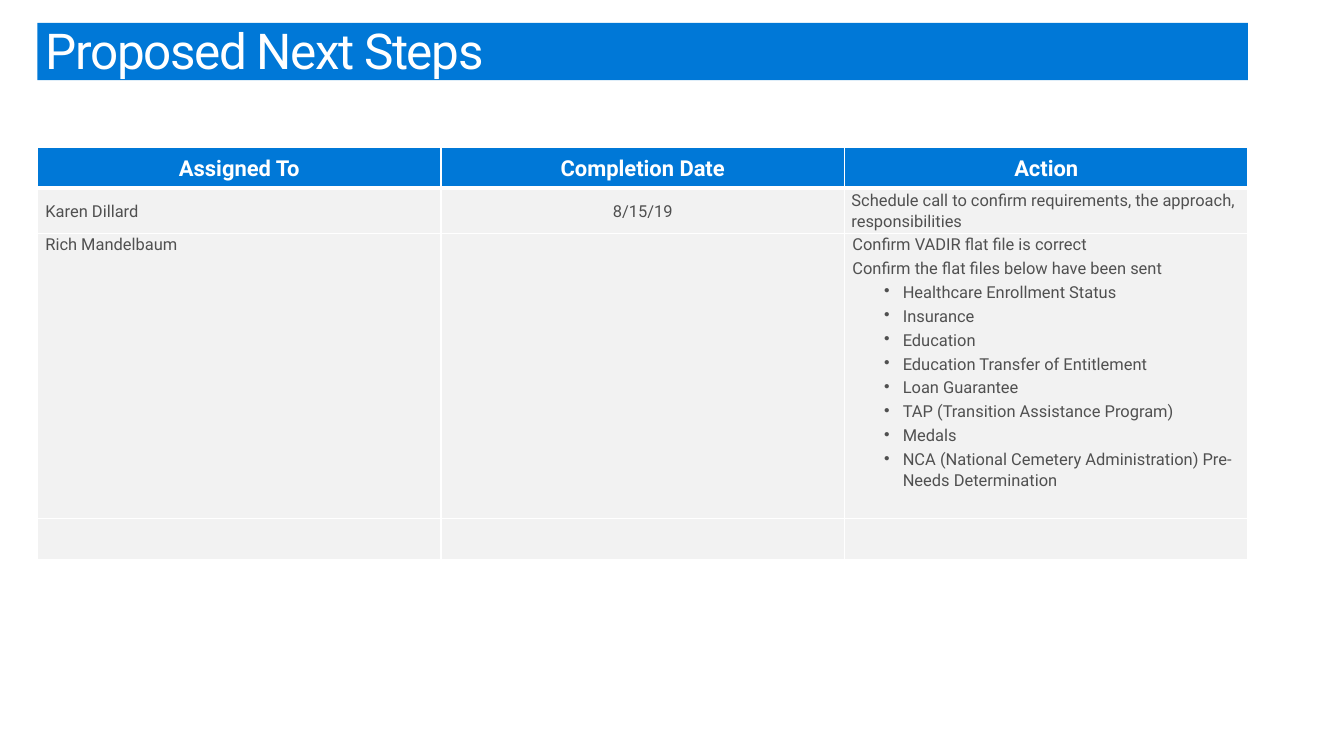
from dataclasses import dataclass

from lxml import etree
from pptx import Presentation
from pptx.dml.color import RGBColor
from pptx.enum.shapes import MSO_SHAPE
from pptx.enum.text import MSO_ANCHOR, MSO_AUTO_SIZE, PP_ALIGN
from pptx.oxml.ns import qn
from pptx.util import Inches, Pt

RECT = MSO_SHAPE.RECTANGLE
TOP, MIDDLE = MSO_ANCHOR.TOP, MSO_ANCHOR.MIDDLE
LEFT, CENTER = PP_ALIGN.LEFT, PP_ALIGN.CENTER
NO_FIT = MSO_AUTO_SIZE.NONE

WIDTH, HEIGHT = 13.6, 7.65
TITLE_ONLY = 5


@dataclass(frozen=True)
class Theme:
    font: str = "Roboto"
    blue: str = "0078D7"
    pale: str = "F2F2F2"
    white: str = "FFFFFF"
    gray: str = "505050"
    title: int = 36
    head: int = 16
    body: int = 12


THEME = Theme()

# Places as percent of the slide's width and height
EDGE, SPAN = 2.79, 90.07
ROWS = [5.36, 6.01, 37.78, 5.36]

HEADS = ["Assigned To", "Completion Date", "Action"]
CALL = "Schedule call to confirm requirements, the approach, responsibilities"
CHECKS = [
    "Confirm VADIR flat file is correct",
    "Confirm the flat files below have been sent",
]
FILES = [
    "Healthcare Enrollment Status",
    "Insurance",
    "Education",
    "Education Transfer of Entitlement",
    "Loan Guarantee",
    "TAP (Transition Assistance Program)",
    "Medals",
    "NCA (National Cemetery Administration) Pre-Needs Determination",
]


def across(share):
    return Inches(WIDTH * share / 100)


def down(share):
    return Inches(HEIGHT * share / 100)


def place(x, y, w, h):
    return across(x), down(y), across(w), down(h)


def add_dot(para):
    """Give a paragraph a hanging round bullet."""
    props = para._p.get_or_add_pPr()
    props.set("marL", str(Inches(0.51)))
    props.set("indent", str(Inches(-0.19)))
    etree.SubElement(props, qn("a:buChar")).set("char", "•")


def write(frame, text, size=THEME.body, color=THEME.gray, bold=False,
          align=LEFT, line=1.1, gap=1, dot=False, track=None):
    """Fill the first paragraph of a frame, or add one after it."""
    first = not frame.paragraphs[0].runs
    para = frame.paragraphs[0] if first else frame.add_paragraph()
    para.alignment, para.line_spacing = align, line
    para.space_before = Pt(0 if first else gap)
    para.space_after = Pt(gap)
    if dot:
        para.level = 1
        add_dot(para)
    run = para.add_run()
    run.text = text
    font = run.font
    font.name, font.size, font.bold = THEME.font, Pt(size), bold
    font.color.rgb = RGBColor.from_string(color)
    if track is not None:
        run._r.get_or_add_rPr().set("spc", str(track * 100))


def paint(fill, color):
    fill.solid()
    fill.fore_color.rgb = RGBColor.from_string(color)


def add_rules(cell, base):
    """Draw white rules round a cell, with its own base width."""
    props = cell._tc.get_or_add_tcPr()
    for spot, side in enumerate("LRTB"):
        rule = etree.Element(qn(f"a:ln{side}"))
        rule.set("w", str(Pt(base if side == "B" else 1)))
        fill = etree.SubElement(rule, qn("a:solidFill"))
        etree.SubElement(fill, qn("a:srgbClr")).set("val", THEME.white)
        props.insert(spot, rule)


def add_title(slide, text):
    # Blue band behind the title
    band = slide.shapes.add_shape(RECT, *place(EDGE, 3.01, SPAN, 7.58))
    band.shadow.inherit = False
    paint(band.fill, THEME.blue)
    band.line.fill.background()

    title = slide.shapes.title
    title.left, title.top, title.width, title.height = place(
        2.21, 2.22, 95.59, 13.07)
    band._element.addnext(title._element)
    frame = title.text_frame
    frame.auto_size, frame.word_wrap = NO_FIT, True
    frame.vertical_anchor = TOP
    frame.margin_left = frame.margin_right = Inches(0.16)
    frame.margin_top = frame.margin_bottom = Inches(0.1)
    write(frame, text, size=THEME.title, color=THEME.white,
          line=0.9, gap=0, track=-1)


def add_grid(slide):
    count = len(HEADS)
    frame = slide.shapes.add_table(
        len(ROWS), count, *place(EDGE, 19.48, SPAN, sum(ROWS)))
    table = frame.table
    table.horz_banding = False
    for col in table.columns:
        col.width = across(SPAN / count)
    for row, share in zip(table.rows, ROWS):
        row.height = down(share)
    for r, row in enumerate(table.rows):
        for c, cell in enumerate(row.cells):
            paint(cell.fill, THEME.pale if r else THEME.blue)
            add_rules(cell, 1 if r else 3)
            cell.vertical_anchor = MIDDLE if r < 2 else TOP
            side = 0.07 if r == 1 and c else 0.08
            cell.margin_left = cell.margin_right = Inches(side)
            cell.margin_top = cell.margin_bottom = 0
    return table


def main():
    deck = Presentation()
    deck.slide_width, deck.slide_height = Inches(WIDTH), Inches(HEIGHT)
    slide = deck.slides.add_slide(deck.slide_layouts[TITLE_ONLY])
    add_title(slide, "Proposed Next Steps")

    table = add_grid(slide)

    def frame(row, col):
        return table.cell(row, col).text_frame

    # Header row
    for col, head in enumerate(HEADS):
        write(frame(0, col), head, size=THEME.head, color=THEME.white,
              bold=True, align=CENTER)

    # First task
    write(frame(1, 0), "Karen Dillard")
    write(frame(1, 1), "8/15/19", align=CENTER)
    write(frame(1, 2), CALL)

    # Second task, with its list of files
    write(frame(2, 0), "Rich Mandelbaum")
    for text in CHECKS:
        write(frame(2, 2), text)
    for text in FILES:
        write(frame(2, 2), text, dot=True)

    deck.save("out.pptx")


if __name__ == "__main__":
    main()
